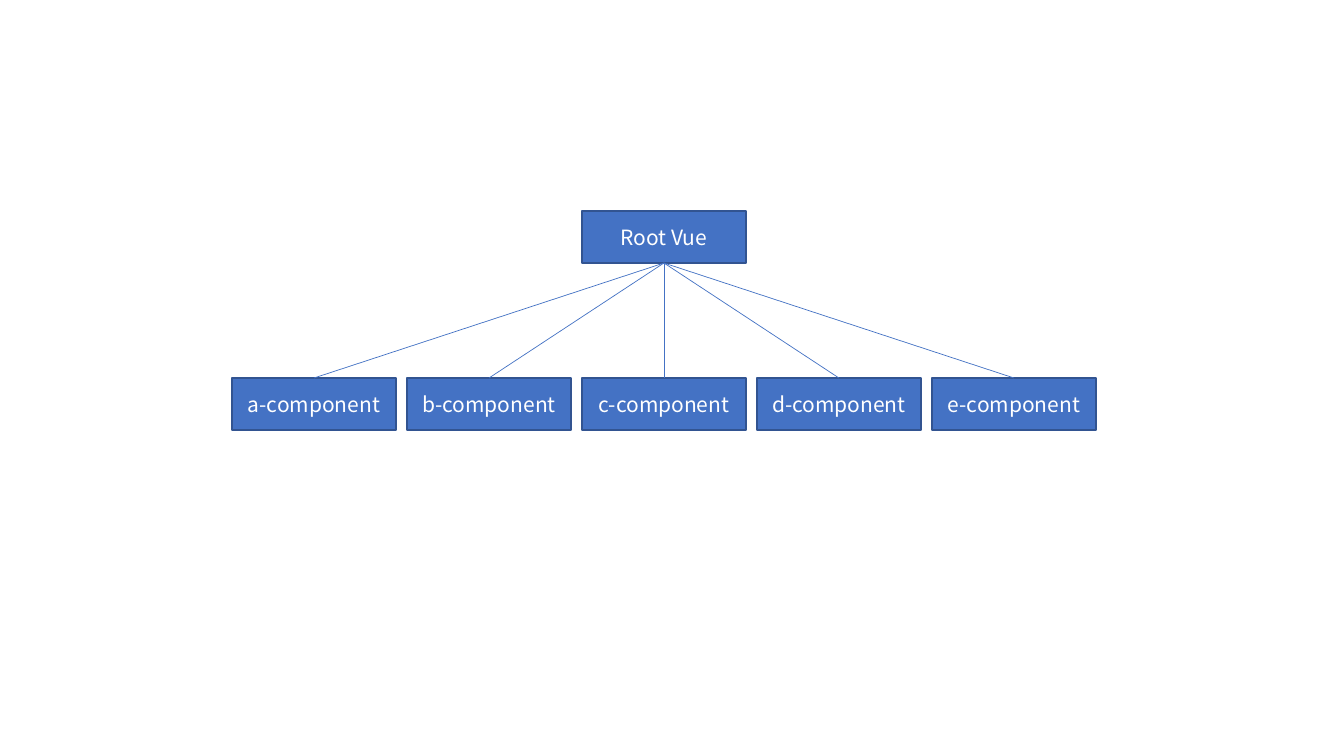
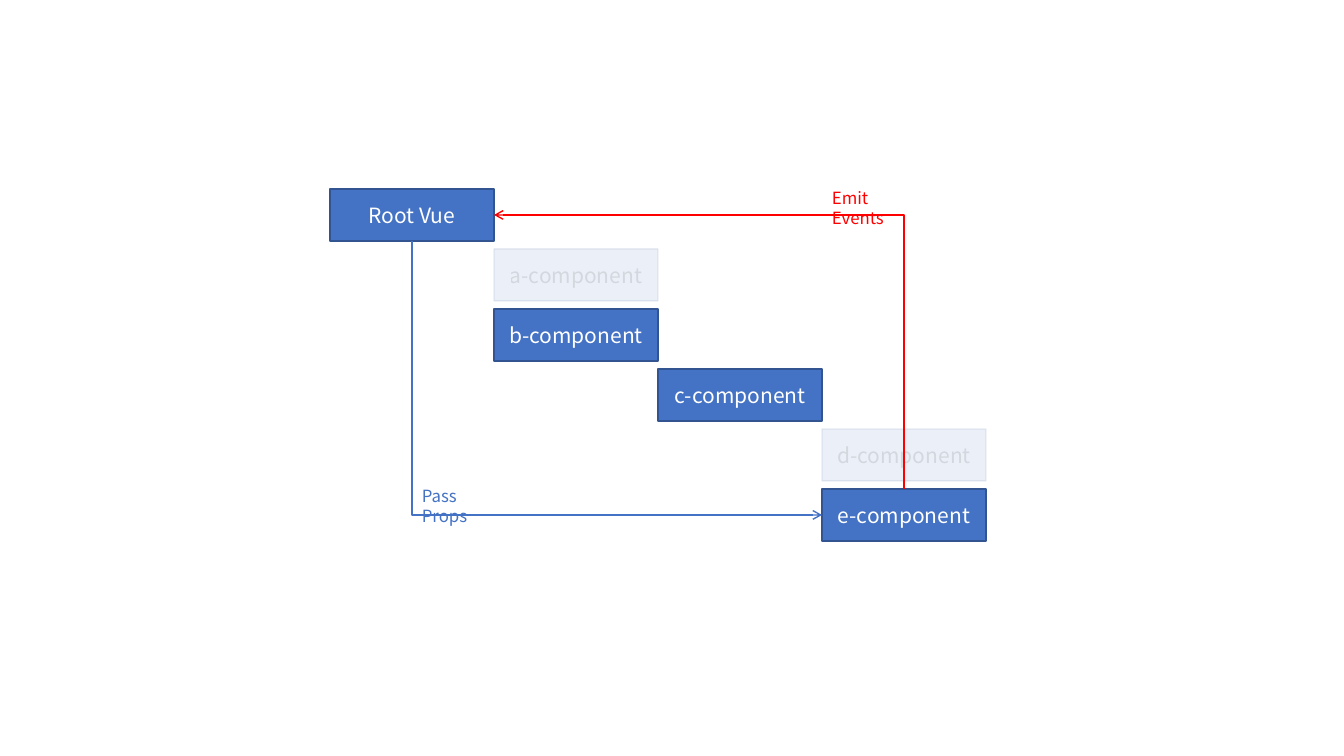
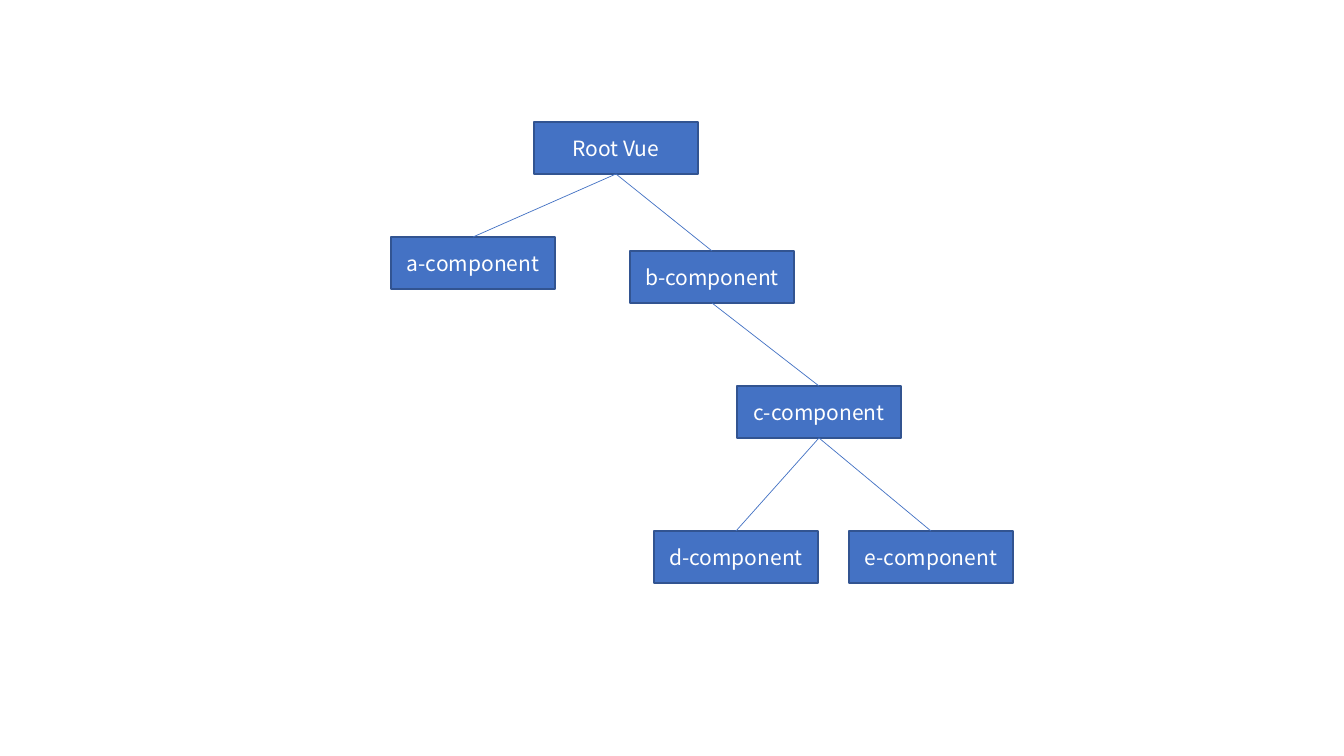
from lxml.etree import SubElement
from pptx import Presentation
from pptx.dml.color import RGBColor
from pptx.enum.shapes import MSO_CONNECTOR as Connector, MSO_SHAPE as Preset
from pptx.enum.text import MSO_ANCHOR as Anchor, PP_ALIGN as Align
from pptx.oxml.ns import qn
from pptx.util import Pt

SCALE = 914400 / 100.8
BLUE = RGBColor(0x44, 0x72, 0xC4)
NAVY = RGBColor(0x32, 0x54, 0x91)
RED = RGBColor(0xFF, 0x00, 0x00)
WHITE = RGBColor(0xFF, 0xFF, 0xFF)
BLACK = RGBColor(0x00, 0x00, 0x00)
FONT = "Noto Sans CJK KR"
NODE_WIDTH, NODE_HEIGHT = 164, 52
TOP, LEFT, BOTTOM, RIGHT = range(4)
ROOT = "Root Vue"
COMPONENTS = [f"{letter}-component" for letter in "abcde"]


def px(length):
    """Turn pixels into EMU."""
    return round(length * SCALE)


def write_text(shape, text, size=15, color=WHITE, align=Align.CENTER, anchor=Anchor.MIDDLE):
    """Put formatted, wrapping text in a shape."""
    frame = shape.text_frame
    frame.word_wrap = True
    frame.vertical_anchor = anchor
    paragraph = frame.paragraphs[0]
    paragraph.alignment = align
    run = paragraph.add_run()
    run.text = text
    run.font.name = FONT
    run.font.size = Pt(size)
    run.font.color.rgb = color


def add_node(slide, text, left, top, faded=False):
    """Draw one component box, nearly transparent when faded."""
    shape = slide.shapes.add_shape(
        Preset.RECTANGLE, px(left), px(top), px(NODE_WIDTH), px(NODE_HEIGHT))
    shape.shadow.inherit = False
    shape.fill.solid()
    shape.fill.fore_color.rgb = BLUE
    shape.line.color.rgb = NAVY
    shape.line.width = Pt(1)
    write_text(shape, text, color=BLACK if faded else WHITE)
    if faded:
        for color in list(shape.element.iter(qn("a:srgbClr"))):
            SubElement(color, qn("a:alpha"), val="10000")
    return shape


def add_link(slide, start, end, start_site=BOTTOM, end_site=TOP,
             kind=Connector.STRAIGHT, color=BLUE, width=0.5):
    """Join two nodes with a plain connector."""
    link = slide.shapes.add_connector(kind, 0, 0, 0, 0)
    link.begin_connect(start, start_site)
    link.end_connect(end, end_site)
    link.line.color.rgb = color
    link.line.width = Pt(width)
    SubElement(link.element.spPr, qn("a:effectLst"))
    return link


def add_corner_arrow(slide, start, end, start_site, end_site, color):
    """Join two nodes with an arrow that runs vertically, then horizontally."""
    link = add_link(slide, start, end, start_site, end_site, Connector.ELBOW, color, 1)
    SubElement(link.line._get_or_add_ln(), qn("a:tailEnd"), type="arrow")
    downward = link.end_y > link.begin_y
    left, top, width, height = link.left, link.top, link.width, link.height
    link.left = left + (width - height) // 2
    link.top = top + (height - width) // 2
    link.width, link.height = height, width
    frame = link.element.spPr.find(qn("a:xfrm"))
    frame.set("rot", "16200000")
    frame.set("flipH", "1" if downward else "0")
    frame.set("flipV", "0" if downward else "1")
    link.element.spPr.find(qn("a:prstGeom")).set("prst", "bentConnector2")


def add_label(slide, text, left, top, width, color):
    """Write a small label beside an arrow."""
    label = slide.shapes.add_textbox(px(left), px(top), px(width), px(30))
    write_text(label, text, size=12, color=color, align=Align.LEFT, anchor=Anchor.TOP)


def draw_flat_tree(slide, left, top, column_pitch=175, row_pitch=167):
    """Draw the root above one row of components."""
    root = add_node(slide, ROOT, left + 2 * column_pitch, top)
    children = [add_node(slide, name, left + column * column_pitch, top + row_pitch)
                for column, name in enumerate(COMPONENTS)]
    for child in children:
        add_link(slide, root, child)


def draw_staircase(slide, left, top, row_pitch=60):
    """Draw the indented components and the two flows between root and leaf."""
    levels = [0, 1, 1, 2, 3, 3]
    faded = {"a-component", "d-component"}
    nodes = [add_node(slide, name, left + level * NODE_WIDTH, top + row * row_pitch,
                      faded=name in faded)
             for row, (name, level) in enumerate(zip([ROOT, *COMPONENTS], levels))]
    root, leaf = nodes[0], nodes[-1]
    add_corner_arrow(slide, root, leaf, BOTTOM, LEFT, BLUE)
    add_corner_arrow(slide, leaf, root, TOP, RIGHT, RED)
    add_label(slide, "Pass Props", left + NODE_WIDTH // 2, top + 292, 100, BLUE)
    add_label(slide, "Emit Events", left + 3 * NODE_WIDTH, top - 6, 108, RED)


def draw_nested_tree(slide, left, top):
    """Draw the tree in which components hold other components."""
    offsets = [(143, 0), (0, 115), (239, 129), (346, 264), (263, 409), (458, 409)]
    root, a, b, c, d, e = [
        add_node(slide, name, left + x, top + y)
        for name, (x, y) in zip([ROOT, *COMPONENTS], offsets)]
    for parent, child in [(root, a), (root, b), (b, c), (c, d), (c, e)]:
        add_link(slide, parent, child)


def main():
    """Build and save the presentation."""
    presentation = Presentation()
    presentation.slide_width, presentation.slide_height = px(1344), px(756)
    blank = presentation.slide_layouts[6]
    for draw, left, top in [(draw_flat_tree, 232, 211),
                            (draw_staircase, 330, 189),
                            (draw_nested_tree, 391, 122)]:
        draw(presentation.slides.add_slide(blank), left, top)
    presentation.save("out.pptx")


main()
